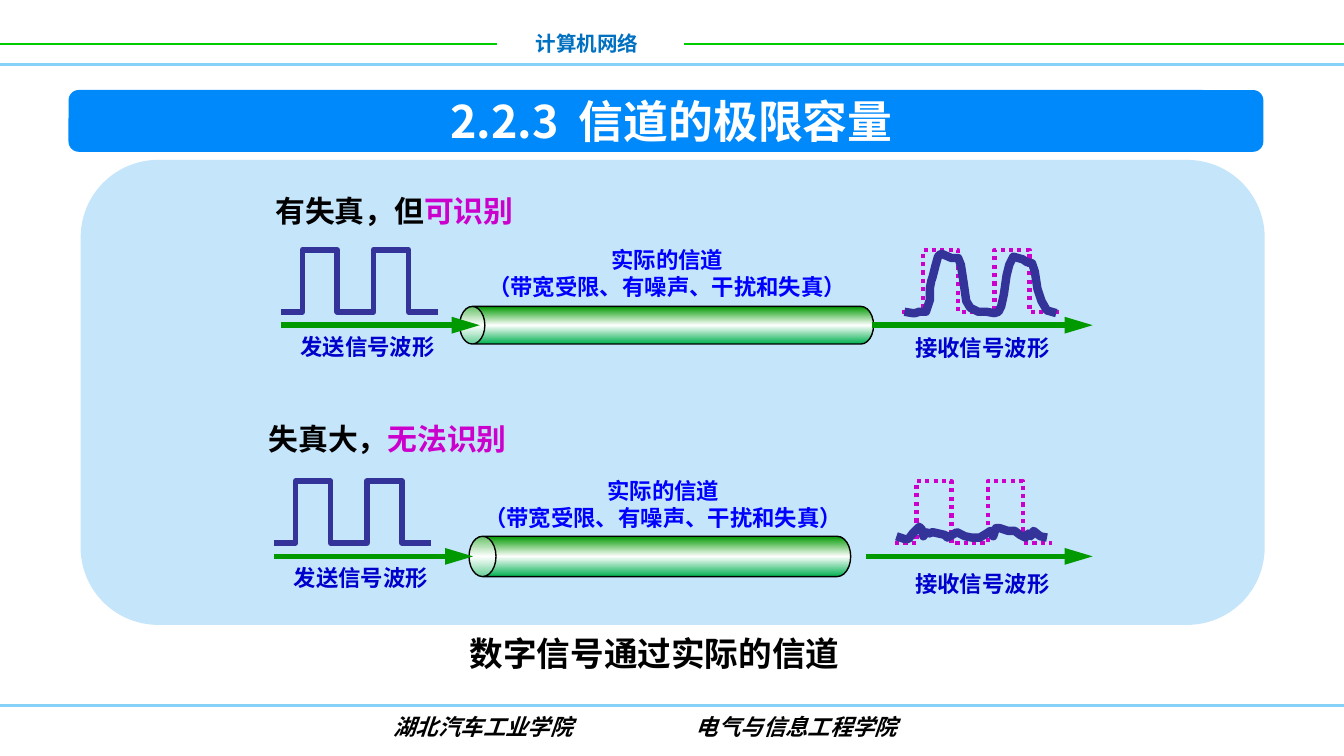
from copy import deepcopy
from dataclasses import dataclass

from lxml import etree
from pptx import Presentation
from pptx.dml.color import RGBColor
from pptx.enum.dml import MSO_LINE
from pptx.enum.shapes import MSO_CONNECTOR, MSO_SHAPE
from pptx.enum.text import MSO_ANCHOR, MSO_AUTO_SIZE, PP_ALIGN
from pptx.oxml.ns import qn
from pptx.util import Pt

LEFT, CENTER, RIGHT = PP_ALIGN.LEFT, PP_ALIGN.CENTER, PP_ALIGN.RIGHT
MIDDLE = MSO_ANCHOR.MIDDLE
GROW, FIXED = MSO_AUTO_SIZE.SHAPE_TO_FIT_TEXT, MSO_AUTO_SIZE.NONE
ROUND, CAN = MSO_SHAPE.ROUNDED_RECTANGLE, MSO_SHAPE.CAN
STRAIGHT = MSO_CONNECTOR.STRAIGHT
DOTS = MSO_LINE.ROUND_DOT
SCALE = 9144


@dataclass(frozen=True)
class Theme:
    sans: str = "Noto Sans CJK SC"
    latin: str = "Arial"
    black: str = "000000"
    white: str = "FFFFFF"
    brand: str = "0070C0"
    lime: str = "00CC00"
    sky: str = "85D1F7"
    bar: str = "0089FA"
    panel: str = "C5E5FB"
    navy: str = "333399"
    pink: str = "CC00CC"
    green: str = "009900"
    mint: str = "00B050"
    blue: str = "0000FF"
    label: str = "0000CC"
    tiny: int = 11
    small: int = 12
    head: int = 16
    note: int = 18
    title: int = 24


T = Theme()
SENT = [(0, 46), (16, 46), (16, 0), (42, 0), (42, 46),
        (69, 46), (69, 0), (95, 0), (95, 46), (117, 46)]
CLEAR = [(2, 46), (8, 47), (10, 47), (13, 46), (18, 46), (21, 37), (21, 28),
         (22, 23), (23, 20), (25, 12), (27, 5), (29, 3), (30, 3), (37, 6),
         (42, 6), (44, 11), (46, 24), (48, 38), (51, 43), (57, 46), (63, 46),
         (69, 47), (72, 46), (74, 42), (76, 33), (78, 19), (80, 11), (83, 5),
         (90, 7), (93, 9), (97, 10), (99, 16), (101, 29), (104, 38),
         (108, 45), (115, 47)]
NOISE = [(1, 41), (7, 43), (10, 43), (13, 39), (18, 34), (20, 36), (21, 41),
         (23, 38), (25, 39), (28, 38), (37, 40), (39, 42), (46, 38), (52, 41),
         (57, 42), (63, 42), (68, 39), (71, 37), (73, 41), (75, 35), (78, 35),
         (84, 37), (89, 37), (93, 40), (97, 42), (99, 39), (101, 41),
         (103, 37), (108, 41), (113, 42)]


def px(*sizes):
    return [round(size * SCALE) for size in sizes]


def rgb(ink):
    return RGBColor.from_string(ink)


def write(frame, text, *, size, ink, face=T.sans, align=LEFT, wrap=False,
          slant=None, space=None, tail=None, tab=None, fit=GROW):
    frame.word_wrap = wrap
    frame.auto_size = fit
    for num, line in enumerate(text.split("\n")):
        para = frame.add_paragraph() if num else frame.paragraphs[0]
        para.alignment = align
        if space:
            para.line_spacing = space
        if tab:
            stops = etree.SubElement(para._p.get_or_add_pPr(), qn("a:tabLst"))
            etree.SubElement(stops, qn("a:tab"), pos=str(tab * SCALE), algn="l")
        for words, tint in [(line, ink)] + ([tail] if tail else []):
            run = para.add_run()
            run.text = words
            font = run.font
            font.name, font.size, font.bold = face, Pt(size), True
            font.italic = slant
            font.color.rgb = rgb(tint)
            latin = run._r.get_or_add_rPr().find(qn("a:latin"))
            latin.addnext(etree.Element(qn("a:ea"), typeface=T.sans))


def label(shapes, box, text, **style):
    write(shapes.add_textbox(*px(*box)).text_frame, text, **style)


def rule(shapes, start, end, ink, width, arrow=False):
    line = shapes.add_connector(STRAIGHT, *px(*start, *end))
    line.line.color.rgb = rgb(ink)
    line.line.width = Pt(width)
    frame = line.element.spPr
    if arrow:
        etree.SubElement(frame.find(qn("a:ln")), qn("a:tailEnd"),
                         type="triangle", len="lg")
    etree.SubElement(frame, qn("a:effectLst"))


def trace(shapes, left, top, points, ink, width, dash=None):
    spots = [tuple(px(left + x, top + y)) for x, y in points]
    pen = shapes.build_freeform(*spots[0])
    pen.add_line_segments(spots[1:], close=False)
    wave = pen.convert_to_shape()
    wave.shadow.inherit = False
    wave.fill.background()
    wave.line.color.rgb = rgb(ink)
    wave.line.width = Pt(width)
    if dash:
        wave.line.dash_style = dash


def block(shapes, box, ink):
    shape = shapes.add_shape(ROUND, *px(*box))
    shape.shadow.inherit = False
    shape.fill.solid()
    shape.fill.fore_color.rgb = rgb(ink)
    shape.line.fill.background()
    return shape


def tube(shapes, mid, axis, length, thick):
    can = shapes.add_shape(CAN, *px(mid - thick // 2, axis - length // 2, thick, length))
    can.rotation = 270
    can.adjustments[0] = 0.67
    can.shadow.inherit = False
    can.fill.gradient()
    can.fill.gradient_angle = 0
    stops = can.element.spPr.find(".//" + qn("a:gsLst"))
    stops.insert(1, deepcopy(stops[0]))
    for num, (stop, ink) in enumerate(zip(can.fill.gradient_stops,
                                          (T.mint, T.white, T.green))):
        stop.position = num / 2
        stop.color.rgb = rgb(ink)
    can.line.color.rgb = rgb(T.black)
    can.line.width = Pt(0.75)


def header(shapes, box):
    left, top, width, _ = box
    right = left + width
    rule(shapes, (left, top + 33), (left + 370, top + 33), T.lime, 1)
    label(shapes, (left + 388, top + 18, 97, 29), "计算机网络",
          size=T.tiny, ink=T.brand, align=RIGHT)
    rule(shapes, (left, top + 48), (right, top + 48), T.sky, 2)
    rule(shapes, (left + 509, top + 33), (right, top + 33), T.lime, 1)


def footer(shapes, box):
    left, top, width, _ = box
    rule(shapes, (left, top), (left + width, top), T.sky, 1.5)
    label(shapes, (left + 283, top + 1, 420, 30), "湖北汽车工业学院\t电气与信息工程学院",
          size=T.small, ink=T.black, face=T.latin, slant=True, wrap=True, tab=225)


def banner(shapes, box):
    left, top, _, _ = box
    bar = block(shapes, box, T.bar)
    title = shapes.title
    title.left, title.top, title.width, title.height = px(left + 86, top + 3, 725, 40)
    title.text_frame.vertical_anchor = MIDDLE
    write(title.text_frame, "2.2.3  信道的极限容量", size=T.title, ink=T.white,
          align=CENTER, wrap=True, fit=FIXED)
    bar.element.addnext(title.element)


def channel(shapes, box, head, tail, wave, length, thick, drop, space=None):
    left, top, width, _ = box
    right, axis = left + width, top + 106
    parts = shapes.add_group_shape().shapes
    tube(parts, left + 301, axis, length, thick)
    trace(parts, left + 14, top + 50, SENT, T.navy, 3)
    rule(parts, (left + 14, axis), (left + 162, axis), T.green, 3, arrow=True)
    trace(parts, left + 476, top + 50, SENT, T.pink, 2.25, DOTS)
    rule(parts, (left + 454, axis), (right, axis), T.green, 3, arrow=True)
    trace(parts, left + 476, top + 50, wave, T.navy, 4.5)
    label(parts, (left + width // 2 - 152, top + 42, 289, 50),
          "实际的信道\n（带宽受限、有噪声、干扰和失真）",
          size=T.small, ink=T.blue, align=CENTER)
    label(parts, (left + 18, top + 107, 121, 30), "发送信号波形",
          size=T.small, ink=T.label, align=CENTER)
    label(parts, (right - 155, top + drop, 146, 30), "接收信号波形",
          size=T.small, ink=T.label, align=CENTER, wrap=True)
    label(parts, (left, top, 200, 40), head, size=T.head, ink=T.black,
          tail=(tail, T.pink), space=space)


def content(shapes, box):
    left, top, _, height = box
    block(shapes, box, T.panel)
    channel(shapes, (left + 135, top + 17, 618, 138), "有失真，但", "可识别",
            CLEAR, 308, 28, 108, space=1.1)
    channel(shapes, (left + 130, top + 189, 623, 140), "失真大，", "无法识别",
            NOISE, 284, 30, 111)
    label(shapes, (left + 242, top + height + 1, 370, 40), "数字信号通过实际的信道",
          size=T.note, ink=T.black, align=CENTER, wrap=True)


def main():
    deck = Presentation()
    deck.slide_width = 1000 * SCALE
    deck.slide_height = deck.slide_width * 9 // 16
    shapes = deck.slides.add_slide(deck.slide_layouts[5]).shapes
    header(shapes, (0, 0, 1000, 50))
    footer(shapes, (0, 525, 1000, 37))
    banner(shapes, (51, 67, 889, 46))
    content(shapes, (60, 119, 881, 346))
    deck.save("out.pptx")


if __name__ == "__main__":
    main()
